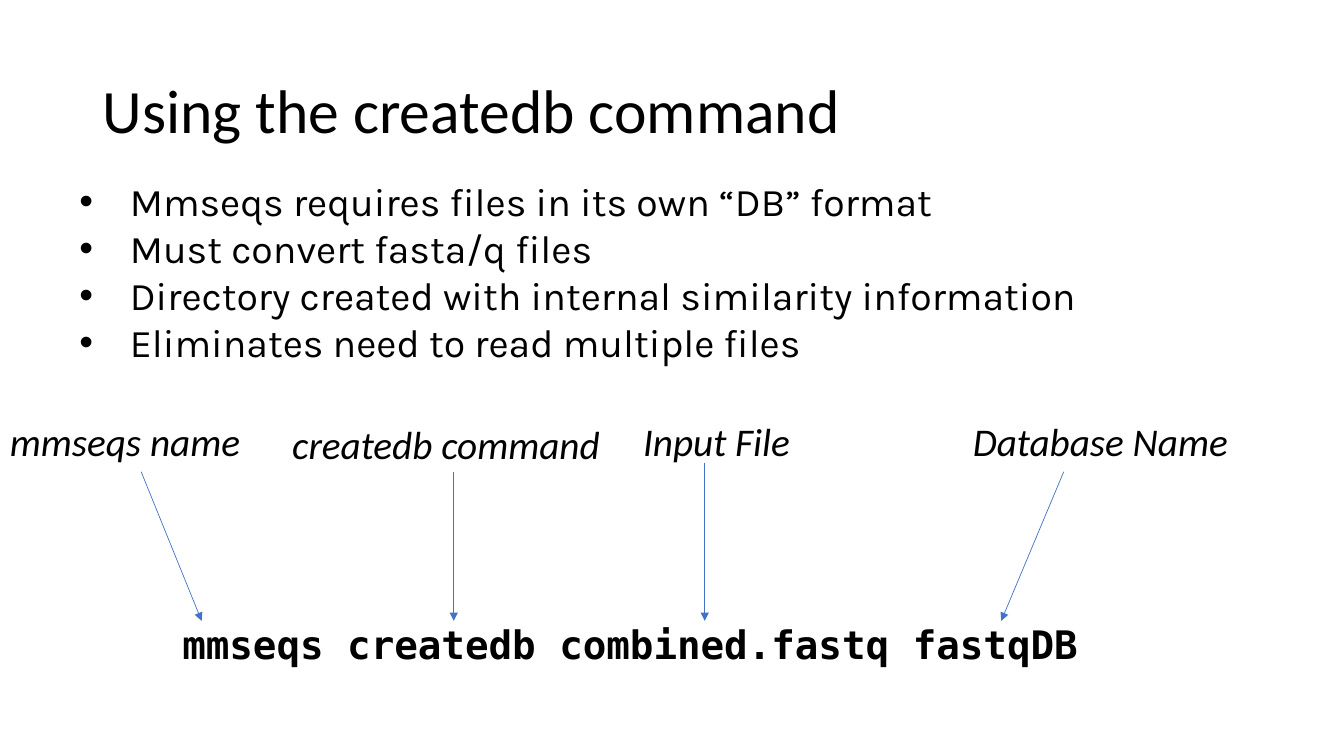
from lxml import etree
from pptx import Presentation, util as u
from pptx.dml.color import RGBColor
from pptx.enum import shapes, text
from pptx.oxml import ns

HUES = {"ink": "000000", "line": "4472C4"}

deck = Presentation()
deck.slide_width, deck.slide_height = u.Inches(13.33), u.Inches(7.5)
slide = deck.slides.add_slide(deck.slide_layouts[5])


def write(frame, lines, look, **form):
    """Fill a text frame and format its paragraphs and runs."""
    frame.word_wrap = True
    for i, line in enumerate(lines):
        para = frame.add_paragraph() if i else frame.paragraphs[0]
        para.alignment = text.PP_ALIGN.LEFT
        for key, val in form.items():
            setattr(para, key, val)
        run = para.add_run()
        run.text = line
        run.font.color.rgb = RGBColor.from_string(HUES["ink"])
        for key, val in look.items():
            setattr(run.font, key, val)


def box(left, top, width, height):
    area = [u.Inches(n) for n in (left, top, width, height)]
    return slide.shapes.add_textbox(*area).text_frame


# Title
title = slide.shapes.title
place = {"left": 0.92, "top": 0.4, "width": 11.5, "height": 1.45}
for key, val in place.items():
    setattr(title, key, u.Inches(val))
frame = title.text_frame
frame.auto_size = text.MSO_AUTO_SIZE.NONE
frame.vertical_anchor = text.MSO_ANCHOR.MIDDLE
write(frame, ["Using the createdb command"],
      {"name": "Calibri", "size": u.Pt(44)}, line_spacing=0.9)

# Bullet list
points = [
    "Mmseqs requires files in its own “DB” format",
    "Must convert fasta/q files",
    "Directory created with internal similarity information",
    "Eliminates need to read multiple files",
]
frame = box(0.69, 1.71, 10.97, 1.99)
write(frame, points, {"name": "Karla", "size": u.Pt(28)})
for para in frame.paragraphs:
    props = para._p.get_or_add_pPr()
    props.set("marL", str(u.Inches(0.5)))
    props.set("indent", str(u.Inches(-0.5)))
    etree.SubElement(props, ns.qn("a:buFont"), typeface="Arial")
    etree.SubElement(props, ns.qn("a:buChar"), char="•")

# Command
write(box(1.71, 6.16, 11, 0.8), ["mmseqs createdb combined.fastq fastqDB"],
      {"name": "DejaVu Sans Mono", "size": u.Pt(28), "bold": True},
      line_spacing=0.9, space_before=u.Pt(10))

# Labels with arrows: label, left, top, width, arrow start x, y, end x
parts = [
    ("mmseqs name", 0, 4.09, 3.06, 1.4, 4.68, 2),
    ("createdb command", 2.8, 4.12, 3.39, 4.5, 4.68, 4.5),
    ("Input File", 6.28, 4.09, 2.86, 6.99, 4.59, 6.99),
    ("Database Name", 9.55, 4.09, 2.86, 10.55, 4.68, 9.93),
]
for label, left, top, width, x, y, tip in parts:
    write(box(left, top, width, 0.57), [label],
          {"name": "Calibri", "size": u.Pt(28), "italic": True})
    ends = [u.Inches(n) for n in (x, y, tip, 6.16)]
    arrow = slide.shapes.add_connector(shapes.MSO_CONNECTOR.STRAIGHT, *ends)
    arrow.line.color.rgb = RGBColor.from_string(HUES["line"])
    arrow.line.width = u.Pt(0.5)
    etree.SubElement(arrow.line._get_or_add_ln(), ns.qn("a:tailEnd"),
                     type="triangle")
    etree.SubElement(arrow._element.spPr, ns.qn("a:effectLst"))

deck.save("out.pptx")
